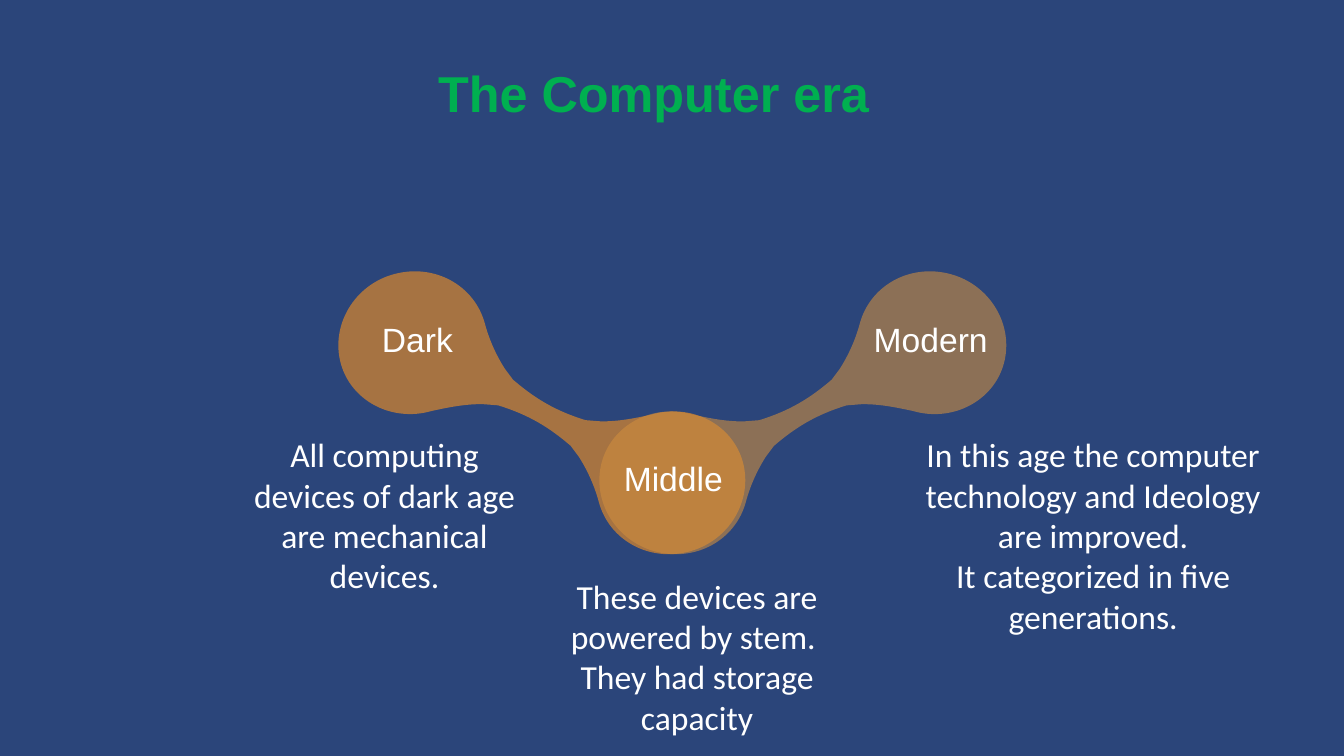
from lxml import etree
from pptx import Presentation
from pptx import util as u
from pptx.dml.color import RGBColor
from pptx.enum import text
from pptx.oxml.ns import qn

# The slide is a fine grid of square cells
COLUMNS, ROWS = 160, 90
CELL = u.Inches(7.5) / ROWS

COLORS = {"background": "002060", "title": "00B050", "text": "FFFFFF",
          "dark_link": "F8931D", "modern_link": "CE8D3E"}

TITLE_FONT = {"name": "Arial", "size": u.Pt(36), "bold": True}
LABEL_FONT = {"name": "Arial", "size": u.Pt(24)}
BODY_FONT = {"name": "Calibri", "size": u.Pt(24)}

# Half of a link's outline, in cells from its centre: one point makes a
# line, three make a curve. The other half is the same turned by 180 degrees.
HALF_START = (-11.9, 21.6)
HALF_LINK = [
    [(-7.3, 21.6), (-3.5, 17.6), (-3.6, 12.6)],
    [(-3.5, 10.7), (-3.4, 8.6), (-2.8, 6.5)],
    [(-2.2, 4.8)],
    [(-0.2, 1.6), (1.9, -0.4), (4.7, -2.3)],
    [(6.2, -2.9)],
    [(8.1, -3.5), (10.1, -3.8), (12, -3.8)],
    [(16.7, -3.8), (20.5, -7.7), (20.5, -12.7)],
    [(20.5, -17.6), (16.6, -21.6), (11.9, -21.6)],
]
LINK_ANGLE = 75

# Links: centre column, centre row, horizontal direction, colour
LINKS = [(64.5, 49.14, 1, "dark_link"), (95.58, 49.14, -1, "modern_link")]

# Text boxes: left, top, width, height in cells, then paragraphs
LABELS = [
    ((102.84, 37.32, 16.32, 6), ["Modern"]),
    ((44.28, 37.32, 14.16, 6), ["Dark"]),
    ((73.08, 53.88, 19.2, 6), ["Middle"]),
]
DESCRIPTIONS = [
    ((28.8, 51.12, 33.96, 20.64),
     ["All computing devices of dark age are mechanical devices."]),
    ((63.24, 67.92, 39.48, 20.64),
     ["These devices are powered by stem. ", "They had storage capacity"]),
    ((107.52, 51.12, 45.24, 25.44),
     ["In this age the computer technology and Ideology are improved.",
      "It categorized in five generations."]),
]


def cells(*values):
    return [round(value * CELL) for value in values]


def color(name):
    return RGBColor.from_string(COLORS[name])


def set_attributes(target, values):
    for name, value in values.items():
        setattr(target, name, value)


def fill_with(fill, color_name, opacity):
    fill.solid()
    fill.fore_color.rgb = color(color_name)
    fill_color = fill._xPr.find(qn("a:solidFill"))[0]
    etree.SubElement(fill_color, qn("a:alpha")).set("val", str(opacity * 1000))


def write_paragraphs(frame, lines, font, color_name, **formats):
    for index, line in enumerate(lines):
        paragraph = frame.add_paragraph() if index else frame.paragraphs[0]
        run = paragraph.add_run()
        run.text = line
        set_attributes(run.font, font)
        run.font.color.rgb = color(color_name)
        set_attributes(paragraph, formats)


def add_title(slide, box, line):
    title = slide.shapes.title
    set_attributes(title, dict(zip(("left", "top", "width", "height"), cells(*box))))
    set_attributes(title.text_frame, {
        "word_wrap": True, "vertical_anchor": text.MSO_ANCHOR.MIDDLE,
        "auto_size": text.MSO_AUTO_SIZE.NONE})
    write_paragraphs(title.text_frame, [line], TITLE_FONT, "title",
                     alignment=text.PP_ALIGN.CENTER, line_spacing=0.9,
                     space_before=u.Pt(10))


def add_text(slide, box, lines, font, alignment):
    frame = slide.shapes.add_textbox(*cells(*box)).text_frame
    set_attributes(frame, {"word_wrap": True,
                           "auto_size": text.MSO_AUTO_SIZE.SHAPE_TO_FIT_TEXT})
    write_paragraphs(frame, lines, font, "text", alignment=alignment)


def bend_lines(link, segments):
    """Turn each straight piece that has control points into a curve."""
    pieces = list(link._element.iter(qn("a:lnTo")))
    for piece, segment in zip(pieces, segments):
        if len(segment) == 1:
            continue
        piece.tag = qn("a:cubicBezTo")
        for index, (x, y) in enumerate(segment[:-1]):
            control = etree.Element(qn("a:pt"))
            control.set("x", str(x - link.left))
            control.set("y", str(y - link.top))
            piece.insert(index, control)


def add_link(slide, column, row, direction, color_name):
    def place(x, y):
        return cells(column + direction * x, row + y)

    segments = [[place(turn * x, turn * y) for x, y in segment]
                for turn in (1, -1) for segment in HALF_LINK]
    builder = slide.shapes.build_freeform(*place(*HALF_START))
    builder.add_line_segments([segment[-1] for segment in segments], close=True)
    link = builder.convert_to_shape()
    bend_lines(link, segments)
    link.rotation = direction * LINK_ANGLE % 360
    link.shadow.inherit = False
    link.line.fill.background()
    fill_with(link.fill, color_name, 60)


def main():
    presentation = Presentation()
    presentation.slide_width, presentation.slide_height = cells(COLUMNS, ROWS)
    slide = presentation.slides.add_slide(presentation.slide_layouts[5])
    fill_with(slide.background.fill, "background", 83)

    # Title
    add_title(slide, (29.16, 6.72, 99, 9.48), "The Computer era ")

    # Mirrored links between the ages
    for link in LINKS:
        add_link(slide, *link)

    # Names and descriptions of the ages
    for box, lines in LABELS:
        add_text(slide, box, lines, LABEL_FONT, text.PP_ALIGN.LEFT)
    for box, lines in DESCRIPTIONS:
        add_text(slide, box, lines, BODY_FONT, text.PP_ALIGN.CENTER)

    presentation.save("out.pptx")


if __name__ == "__main__":
    main()
